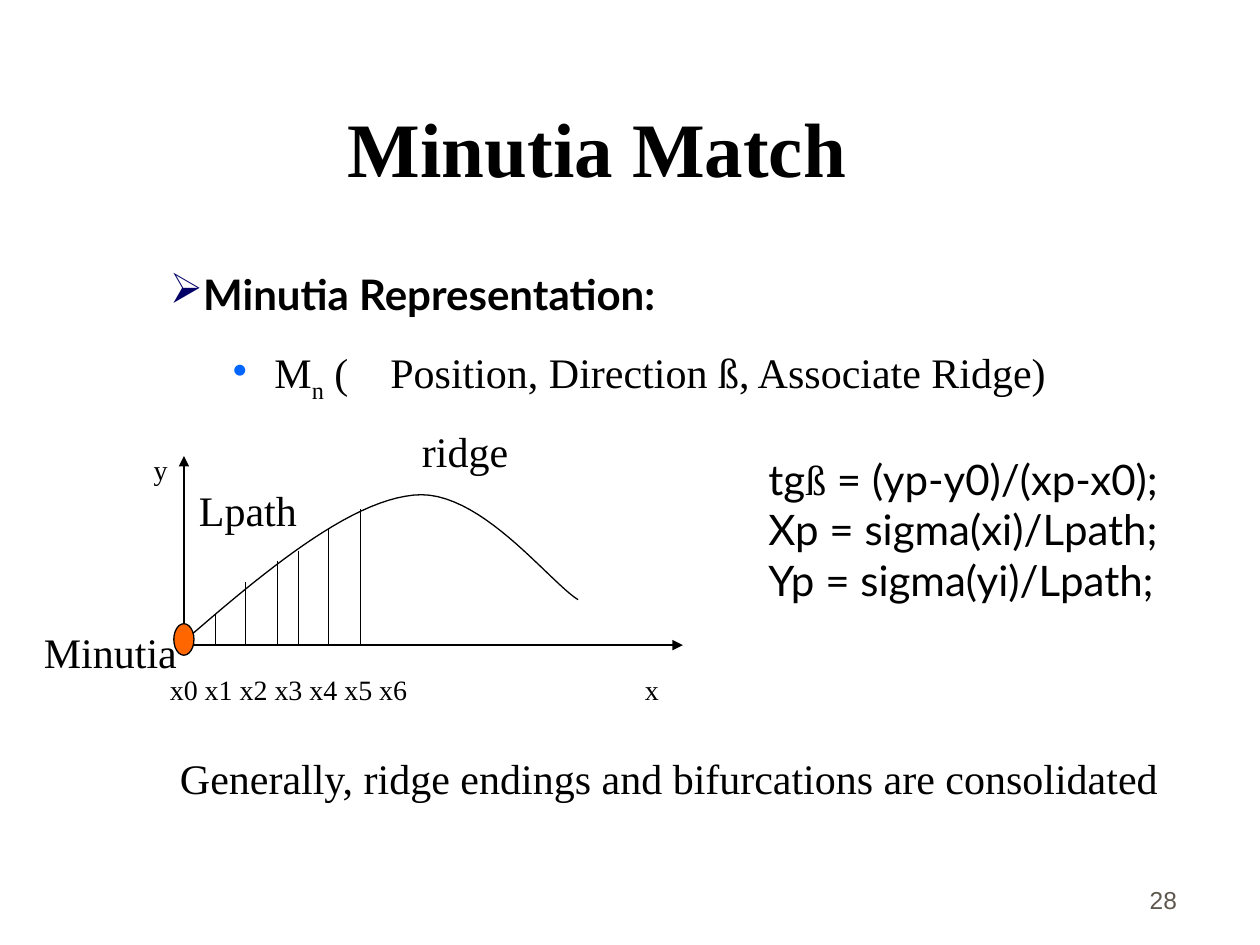
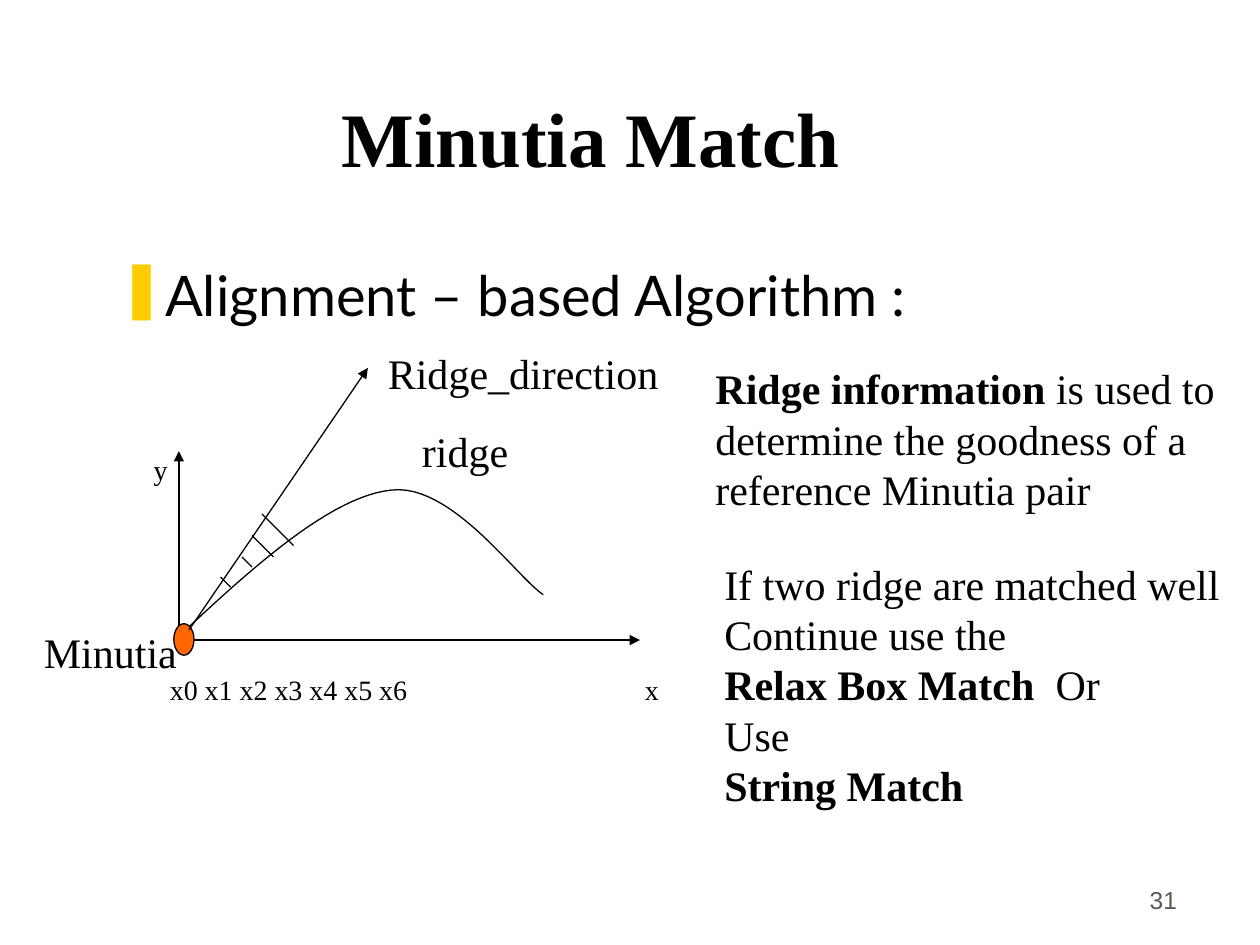
import pptx
import pptx.dml.color
import pptx.enum.shapes
import pptx.enum.text
import pptx.oxml.ns
import pptx.util
from lxml import etree

COLORS = {
    "ink": "000000",
    "minutia": "FF6600",
    "arrow": "000066",
    "dot": "0066FF",
    "bar": "FFCC00",
    "number": "5E574E",
}
SERIF, SANS, PLAIN = "Times New Roman", "Lato", "Arial"
COLUMNS, ROWS = 100, 75
ALIGN = pptx.enum.text.PP_ALIGN
ANCHOR = pptx.enum.text.MSO_ANCHOR
SHAPE = pptx.enum.shapes.MSO_SHAPE
qn = pptx.oxml.ns.qn


def rgb(name):
    return pptx.dml.color.RGBColor.from_string(COLORS[name])


def bezier(a, b, c, d, steps=24):
    for i in range(1, steps + 1):
        t = i / steps
        u = 1 - t
        yield tuple(
            u**3 * a[k] + 3 * u * u * t * b[k] + 3 * u * t * t * c[k] + t**3 * d[k]
            for k in (0, 1)
        )


class Deck:
    """Draws styled elements on the current slide, in grid columns and rows."""

    def __init__(self, prs):
        self.prs = prs
        self.s = None

    def place(self, x, y):
        return (
            round(self.prs.slide_width * x / COLUMNS),
            round(self.prs.slide_height * y / ROWS),
        )

    def slide(self, title, x, y, w, number):
        self.s = self.prs.slides.add_slide(self.prs.slide_layouts[5])
        sp = self.s.shapes.title
        sp.left, sp.top = self.place(x, y)
        sp.width, sp.height = self.place(w, 12.5)
        self.fill_text(sp.text_frame, [title], size=44, bold=True,
                       align=ALIGN.CENTER, anchor=ANCHOR.BOTTOM)
        self.text(73.6, 68.1, 20.8, 5, [number], size=14, font=PLAIN,
                  color="number", align=ALIGN.RIGHT, anchor=ANCHOR.BOTTOM)

    def fill_text(self, tf, paragraphs, size=24, font=SERIF, color="ink", bold=False,
                  align=ALIGN.LEFT, anchor=ANCHOR.TOP, wrap=True):
        tf.word_wrap = wrap
        tf.auto_size = pptx.enum.text.MSO_AUTO_SIZE.NONE
        tf.vertical_anchor = anchor
        tf.margin_left = tf.margin_right = pptx.util.Inches(0.1)
        tf.margin_top = tf.margin_bottom = pptx.util.Inches(0.05)
        for i, runs in enumerate(paragraphs):
            p = tf.add_paragraph() if i else tf.paragraphs[0]
            p.alignment = align
            p.space_before = pptx.util.Pt(0)
            for run in [(runs, {})] if isinstance(runs, str) else runs:
                text, style = run
                r = p.add_run()
                r.text = text
                r.font.size = pptx.util.Pt(size)
                r.font.name = style.get("font", font)
                r.font.bold = style.get("bold", bold)
                r.font.color.rgb = rgb(color)
                if "baseline" in style:
                    r._r.get_or_add_rPr().set("baseline", style["baseline"])

    def text(self, x, y, w, h, paragraphs, **style):
        sp = self.s.shapes.add_textbox(*self.place(x, y), *self.place(w, h))
        self.fill_text(sp.text_frame, paragraphs, **style)
        return sp.text_frame

    def label(self, x, y, w, h, text, size=24):
        self.text(x, y, w, h, [text], size=size, wrap=False)

    def bullet(self, p, char, color, margin, hang):
        pPr = p._p.get_or_add_pPr()
        pPr.set("marL", str(pptx.util.Inches(margin)))
        pPr.set("indent", str(-pptx.util.Inches(hang)))
        clr = etree.SubElement(pPr, qn("a:buClr"))
        etree.SubElement(clr, qn("a:srgbClr"), val=COLORS[color])
        etree.SubElement(pPr, qn("a:buChar"), char=char)

    def tab(self, p, inches):
        tabs = etree.SubElement(p._p.get_or_add_pPr(), qn("a:tabLst"))
        etree.SubElement(tabs, qn("a:tab"), pos=str(pptx.util.Inches(inches)), algn="l")

    def outline(self, sp):
        sp.line.color.rgb = rgb("ink")
        sp.line.width = pptx.util.Pt(0.75)

    def line(self, x1, y1, x2, y2, arrow=False):
        sp = self.s.shapes.add_connector(
            pptx.enum.shapes.MSO_CONNECTOR.STRAIGHT,
            *self.place(x1, y1), *self.place(x2, y2))
        self.outline(sp)
        if arrow:
            etree.SubElement(sp.line._get_or_add_ln(), qn("a:tailEnd"), type="triangle")
        etree.SubElement(sp._element.spPr, qn("a:effectLst"))

    def curve(self, points):
        start, *rest = [self.place(*pt) for pt in points]
        builder = self.s.shapes.build_freeform(*start)
        builder.add_line_segments(rest, close=False)
        sp = builder.convert_to_shape()
        sp.shadow.inherit = False
        sp.fill.background()
        self.outline(sp)

    def minutia(self):
        sp = self.s.shapes.add_shape(
            SHAPE.OVAL, *self.place(13.8, 49.5), *self.place(1.6, 2.5))
        sp.shadow.inherit = False
        sp.fill.solid()
        sp.fill.fore_color.rgb = rgb("minutia")
        self.outline(sp)

    def ridge_plot(self, x, y, length):
        self.label(32.5, 33.3, 8.8, 5, "ridge")
        self.label(2.5, 49.2, 12.5, 5, "Minutia")
        shares = [(0, 0.3), (0.16, 5.8), (0.33, 11.4), (0.46, 11.9),
                  (0.59, 12.5), (0.73, 5.1), (0.79, 3.6)]
        knots = [(x + share * length, y - rise) for share, rise in shares]
        self.curve([knots[0], *bezier(*knots[:4]), *bezier(*knots[3:])])
        self.line(x, y, x + length, y, arrow=True)
        self.line(x, y, x, y - 15, arrow=True)
        self.minutia()
        tf = self.text(12.5, 52.9, 41.7, 3.7, ["x0 x1 x2 x3 x4 x5 x6\tx"], size=16)
        self.tab(tf.paragraphs[0], 3.77)
        self.label(11.2, 35.4, 3.1, 3.7, "y", size=16)


def representation_slide(deck):
    deck.slide("Minutia Match", 4.2, 3.3, 86.4, "28")
    tf = deck.text(10, 20.8, 85, 13, [
        [("Minutia Representation:", {"font": SANS, "bold": True})],
        [("M", {}), ("n", {"baseline": "-25000"}),
         (" (\tPosition, Direction ß, Associate Ridge)", {})],
    ])
    heading, formula = tf.paragraphs
    deck.bullet(heading, "➢", "arrow", 0.5, 0.25)
    formula.space_before = pptx.util.Pt(16)
    deck.bullet(formula, "•", "dot", 1.08, 0.33)
    deck.tab(formula, 2)
    deck.text(60, 35.5, 38, 13.5, [
        [("tg", {}), ("ß", {"font": SERIF}), (" = (yp-y0)/(xp-x0);", {})],
        "Xp = sigma(xi)/Lpath;",
        "Yp = sigma(yi)/Lpath;",
    ], font=SANS)
    axis = 51.2
    deck.ridge_plot(14.6, axis, 39.6)
    for x, top in [(17.1, 48.7), (19.5, 46.2), (22, 44.5),
                   (23.7, 43.7), (26.1, 42), (28.6, 40.4)]:
        deck.line(x, top, x, axis)
    deck.label(14.8, 38, 9.8, 5, "Lpath")
    deck.label(13.3, 59.2, 79.8, 5,
               "Generally, ridge endings and bifurcations are consolidated")


def alignment_slide(deck):
    deck.slide("Minutia Match", 4.4, 2.5, 85, "31")
    tf = deck.text(8.4, 20.2, 72, 6.4, ["Alignment – based Algorithm :"],
                   size=32, font=SANS)
    deck.bullet(tf.paragraphs[0], "❚", "bar", 0.37, 0.37)
    deck.ridge_plot(14.2, 50.8, 36.6)
    deck.line(15, 50, 29.2, 29.2, arrow=True)
    deck.label(29.8, 27.1, 23.5, 5, "Ridge_direction")
    for x, y, reach in [(17.5, 45.8, 0.8), (19.2, 44.2, 0.8),
                        (20, 42.5, 1.7), (20.8, 40.8, 2.5)]:
        deck.line(x, y, x + reach, y + reach)
    strong = {"bold": True}
    deck.text(55.8, 28.3, 42.4, 13, [
        [("Ridge information", strong), (" is used to", {})],
        "determine the goodness of a",
        "reference Minutia pair",
    ], wrap=False)
    deck.text(56.5, 43.8, 41.3, 21, [
        "If two ridge are matched well",
        "Continue use the",
        [("Relax Box Match", strong), ("  Or", {})],
        "Use",
        [("String Match", strong)],
    ], wrap=False)


def main():
    prs = pptx.Presentation()
    prs.slide_width = pptx.util.Inches(10)
    prs.slide_height = pptx.util.Inches(7.5)
    deck = Deck(prs)
    representation_slide(deck)
    alignment_slide(deck)
    prs.save("out.pptx")


if __name__ == "__main__":
    main()
